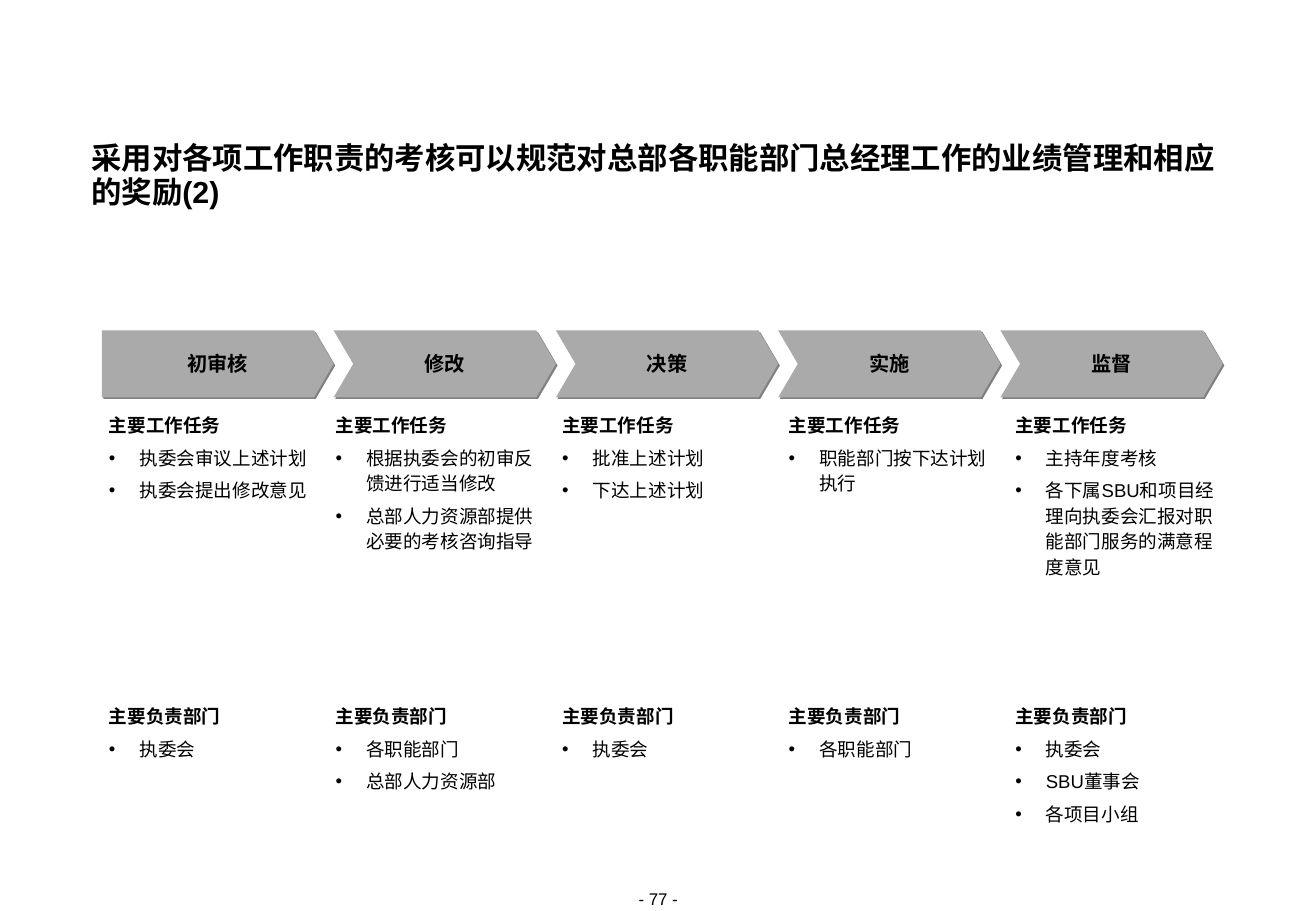
from math import ceil

from lxml import etree
from pptx import Presentation
from pptx.dml.color import RGBColor
from pptx.enum.text import MSO_ANCHOR, MSO_AUTO_SIZE, PP_ALIGN
from pptx.oxml.ns import qn
from pptx.util import Cm, Pt

LEFT, CENTER = PP_ALIGN.LEFT, PP_ALIGN.CENTER
TOP, MIDDLE = MSO_ANCHOR.TOP, MSO_ANCHOR.MIDDLE
GROW, FIXED = MSO_AUTO_SIZE.SHAPE_TO_FIT_TEXT, MSO_AUTO_SIZE.NONE

BLACK = RGBColor(0x00, 0x00, 0x00)
STEP_GREY = RGBColor(0xAA, 0xAA, 0xAA)
SHADOW_GREY = RGBColor(0x80, 0x80, 0x80)
FONT = "Arial"

TITLE = "采用对各项工作职责的考核可以规范对总部各职能部门总经理工作的业绩管理和相应的奖励(2)"
PAGE_NUMBER = "- 77 -"
TASKS_HEADING = "主要工作任务"
DEPARTMENTS_HEADING = "主要负责部门"
STEPS = [
    ("初审核", ["执委会审议上述计划", "执委会提出修改意见"], ["执委会"]),
    ("修改", ["根据执委会的初审反馈进行适当修改", "总部人力资源部提供必要的考核咨询指导"],
     ["各职能部门", "总部人力资源部"]),
    ("决策", ["批准上述计划", "下达上述计划"], ["执委会"]),
    ("实施", ["职能部门按下达计划执行"], ["各职能部门"]),
    ("监督", ["主持年度考核", "各下属SBU和项目经理向执委会汇报对职能部门服务的满意程度意见"],
     ["执委会", "SBU董事会", "各项目小组"]),
]

STEP_WIDTH, STEP_HEIGHT, STEP_TIP = 4.65, 1.4, 0.41
FIRST_STEP_EXTRA = 0.2
COLUMN_PITCH, COLUMN_WIDTH = 4.74, 4.22
LINE_HEIGHT, ITEM_GAP, CHARACTERS_PER_LINE = 0.53, 0.15, 9


def prepare_frame(frame, anchor, wrap, auto_size):
    frame.margin_left = frame.margin_right = frame.margin_top = frame.margin_bottom = 0
    frame.vertical_anchor = anchor
    frame.word_wrap = wrap
    frame.auto_size = auto_size


def write(paragraph, text, size, bold, align, line_spacing):
    paragraph.alignment = align
    paragraph.line_spacing = line_spacing
    run = paragraph.add_run()
    run.text = text
    run.font.name = FONT
    run.font.size = Pt(size)
    run.font.bold = bold
    run.font.color.rgb = BLACK


def add_bullet(properties):
    bullet_color = etree.SubElement(properties, qn("a:buClr"))
    etree.SubElement(bullet_color, qn("a:srgbClr"), val=str(BLACK))
    etree.SubElement(properties, qn("a:buFont"), typeface=FONT)
    etree.SubElement(properties, qn("a:buChar"), char="•")


def add_title(slide, left, top, width, height):
    title = slide.shapes.title
    title.left, title.top = Cm(left), Cm(top)
    title.width, title.height = Cm(width), Cm(height)
    prepare_frame(title.text_frame, TOP, True, GROW)
    write(title.text_frame.paragraphs[0], TITLE, 18, True, LEFT, Pt(20))


def add_page_number(slide, left, top, width, height):
    page_number = slide.shapes.add_textbox(Cm(left), Cm(top), Cm(width), Cm(height))
    prepare_frame(page_number.text_frame, TOP, True, GROW)
    write(page_number.text_frame.paragraphs[0], PAGE_NUMBER, 10, False, CENTER, 1.0)


def add_step(slide, name, left, top, width, height, notched):
    right, bottom, middle = left + width, top + height, top + height / 2
    outline = [(right - STEP_TIP, top), (right, middle), (right - STEP_TIP, bottom), (left, bottom)]
    if notched:
        outline.append((left + STEP_TIP, middle))
    builder = slide.shapes.build_freeform(Cm(left), Cm(top))
    builder.add_line_segments([(Cm(x), Cm(y)) for x, y in outline], close=True)
    step = builder.convert_to_shape()
    step.fill.solid()
    step.fill.fore_color.rgb = STEP_GREY
    step.line.fill.background()
    step.shadow.inherit = False
    effects = step._element.spPr.find(qn("a:effectLst"))
    shadow = etree.SubElement(effects, qn("a:outerShdw"), dist=str(Pt(1.4)),
                              dir="2700000", algn="ctr", rotWithShape="0")
    etree.SubElement(shadow, qn("a:srgbClr"), val=str(SHADOW_GREY))
    prepare_frame(step.text_frame, MIDDLE, False, FIXED)
    write(step.text_frame.paragraphs[0], name, 12, True, CENTER, Pt(14))


def add_process(slide, left, top):
    for index, (name, _, _) in enumerate(STEPS):
        extra = 0 if index else FIRST_STEP_EXTRA
        add_step(slide, name, left + index * STEP_WIDTH - extra, top,
                 STEP_WIDTH + extra, STEP_HEIGHT, index > 0)


def add_list(slide, heading, items, left, top, width):
    lines = 1 + sum(ceil(len(item) / CHARACTERS_PER_LINE) for item in items)
    height = lines * LINE_HEIGHT + len(items) * ITEM_GAP
    listing = slide.shapes.add_textbox(Cm(left), Cm(top), Cm(width), Cm(height))
    frame = listing.text_frame
    prepare_frame(frame, TOP, True, GROW)
    write(frame.paragraphs[0], heading, 11, True, LEFT, 1.15)
    for item in items:
        paragraph = frame.add_paragraph()
        properties = paragraph._p.get_or_add_pPr()
        properties.set("marL", str(Cm(0.64)))
        properties.set("indent", str(-Cm(0.64)))
        add_bullet(properties)
        paragraph.space_before = Pt(4.1)
        write(paragraph, item, 11, False, LEFT, 1.15)


def add_columns(slide, left, tasks_top, departments_top):
    for index, (_, tasks, departments) in enumerate(STEPS):
        column_left = left + index * COLUMN_PITCH
        add_list(slide, TASKS_HEADING, tasks, column_left, tasks_top, COLUMN_WIDTH)
        add_list(slide, DEPARTMENTS_HEADING, departments, column_left, departments_top, COLUMN_WIDTH)


def main():
    presentation = Presentation()
    presentation.slide_width, presentation.slide_height = Cm(27.53), Cm(19.05)
    slide = presentation.slides.add_slide(presentation.slide_layouts[5])
    add_title(slide, 1.91, 2.97, 23.7, 1.42)
    add_process(slide, 2.33, 6.91)
    add_columns(slide, 2.28, 8.59, 14.68)
    add_page_number(slide, 12.32, 18.59, 2.9, 0.43)
    presentation.save("out.pptx")


if __name__ == "__main__":
    main()
